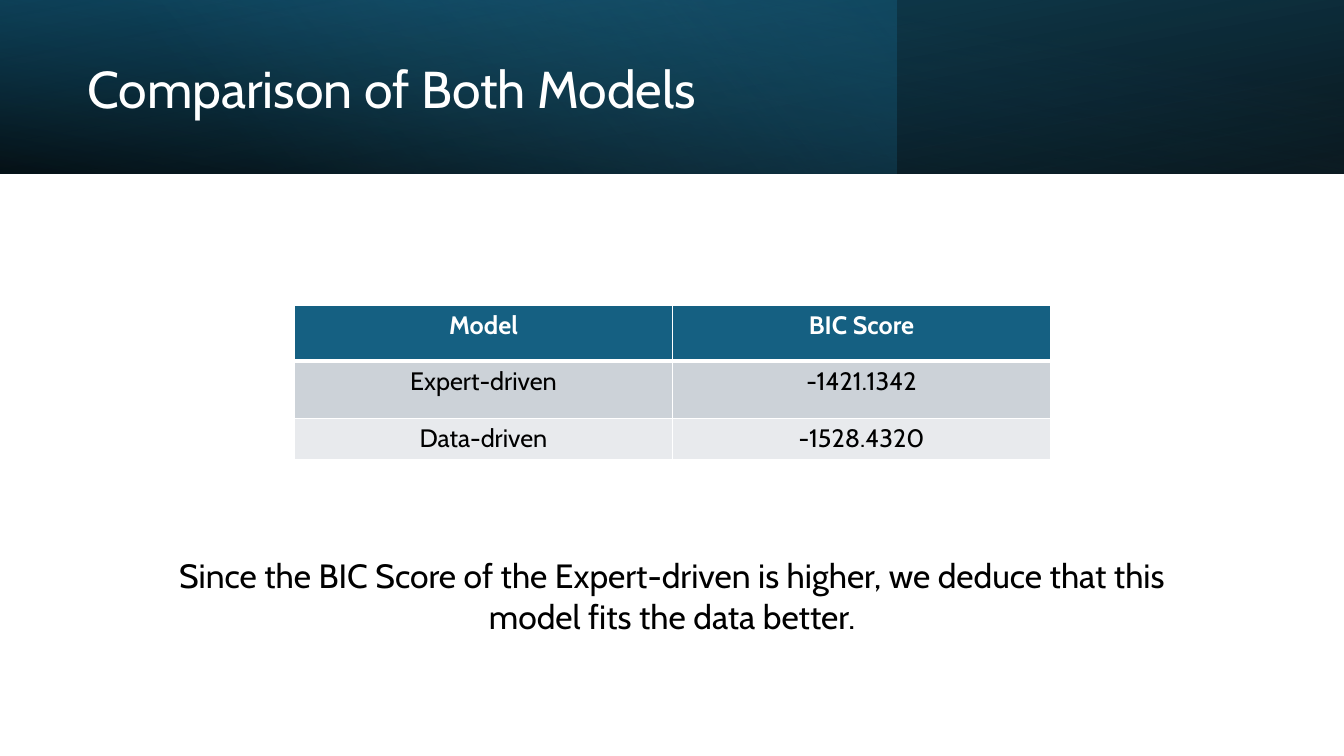
from lxml.etree import SubElement
from pptx import Presentation
from pptx.dml.color import RGBColor
from pptx.enum.shapes import MSO_SHAPE
from pptx.enum.text import MSO_ANCHOR as Anchor, PP_ALIGN as Align
from pptx.oxml.ns import qn
from pptx.util import Inches, Pt

FONT = "Cabin"
BLACK = RGBColor(0x00, 0x00, 0x00)
WHITE = RGBColor(0xFF, 0xFF, 0xFF)
TEAL = RGBColor(0x15, 0x60, 0x82)
DEEP_TEAL = RGBColor(0x10, 0x48, 0x62)
SKY = RGBColor(0x46, 0xB1, 0xE1)
BAND_DARK = RGBColor(0xCC, 0xD2, 0xD8)
BAND_LIGHT = RGBColor(0xE8, 0xEA, 0xED)

SLIDE_WIDTH, SLIDE_HEIGHT = 13.33, 7.5
BANNER_HEIGHT = 1.72

# Each banner layer: width, rotation, flipped, clockwise angle,
# and gradient stops as (position, colour, opacity in percent).
BANNER_LAYERS = [
    (SLIDE_WIDTH, 180, True, 100, [(0, BLACK, 96), (1, DEEP_TEAL, 100)]),
    (8.89, 0, False, 140, [(0, TEAL, 41), (0.74, SKY, 0)]),
    (SLIDE_WIDTH, 0, True, 260, [(0, BLACK, 63), (0.78, TEAL, 15)]),
]

# Each table row: height, fill, text colour, bold, bottom border width, texts.
SCORE_ROWS = [
    (0.55, TEAL, WHITE, True, 3, ["Model", "BIC Score"]),
    (0.57, BAND_DARK, BLACK, False, 1, ["Expert-driven", "-1421.1342"]),
    (0.41, BAND_LIGHT, BLACK, False, 1, ["Data-driven", "-1528.4320"]),
]


def write_text(frame, text, color, align=Align.LEFT, **font_format):
    paragraph = frame.paragraphs[0]
    paragraph.alignment = align
    run = paragraph.add_run()
    run.text = text
    run.font.color.rgb = color
    for name, value in {"name": FONT, **font_format}.items():
        setattr(run.font, name, value)
    return paragraph


def add_text(slide, box, text, color, size, align=Align.LEFT, anchor=Anchor.TOP):
    text_box = slide.shapes.add_textbox(*map(Inches, box))
    frame = text_box.text_frame
    frame.word_wrap = True
    frame.vertical_anchor = anchor
    return write_text(frame, text, color, align, size=Pt(size))


def add_banner_layer(slide, width, rotation, flipped, angle, stops):
    layer = slide.shapes.add_shape(
        MSO_SHAPE.RECTANGLE, 0, 0, Inches(width), Inches(BANNER_HEIGHT))
    layer.shadow.inherit = False
    layer.line.fill.background()
    layer.rotation = rotation
    if flipped:
        layer._element.spPr.xfrm.set("flipH", "1")
    layer.fill.gradient()
    layer.fill.gradient_angle = 360 - angle
    for stop, (position, color, _) in zip(layer.fill.gradient_stops, stops):
        stop.position = position
        stop.color.rgb = color
    stop_colors = layer._element.spPr.iter(qn("a:srgbClr"))
    for stop_color, (_, _, opacity) in zip(list(stop_colors), stops):
        SubElement(stop_color, qn("a:alpha"), val=str(opacity * 1000))


def set_borders(cell, bottom_width):
    """Draw white cell borders, placed before the fill as the schema requires."""
    properties = cell._tc.get_or_add_tcPr()
    widths = {"a:lnL": 1, "a:lnR": 1, "a:lnT": 1, "a:lnB": bottom_width}
    for index, (side, width) in enumerate(widths.items()):
        border = SubElement(properties, qn(side), w=str(Pt(width)))
        fill = SubElement(border, qn("a:solidFill"))
        SubElement(fill, qn("a:srgbClr"), val=str(WHITE))
        properties.insert(index, border)


def add_score_table(slide):
    height = sum(row[0] for row in SCORE_ROWS)
    table = slide.shapes.add_table(
        len(SCORE_ROWS), 2, Inches(2.92), Inches(3.03),
        Inches(7.5), Inches(height)).table
    top_width = 1
    for row, (row_height, fill, color, bold, bottom_width, texts) in zip(
            table.rows, SCORE_ROWS):
        row.height = Inches(row_height)
        for cell, text in zip(row.cells, texts):
            cell.fill.solid()
            cell.fill.fore_color.rgb = fill
            set_borders(cell, bottom_width)
            if top_width != 1:
                cell._tc.tcPr.find(qn("a:lnT")).set("w", str(Pt(top_width)))
            write_text(cell.text_frame, text, color, Align.CENTER,
                       size=Pt(18), bold=bold)
        top_width = bottom_width


def main():
    presentation = Presentation()
    presentation.slide_width = Inches(SLIDE_WIDTH)
    presentation.slide_height = Inches(SLIDE_HEIGHT)
    slide = presentation.slides.add_slide(presentation.slide_layouts[6])

    for layer in BANNER_LAYERS:
        add_banner_layer(slide, *layer)
    title = add_text(slide, (0.77, 0.27, 11.06, 1.27), "Comparison of Both Models",
                     WHITE, 37, anchor=Anchor.MIDDLE)
    title.line_spacing = 0.9
    add_score_table(slide)
    add_text(slide, (1.21, 5.46, 10.91, 0.91),
             "Since the BIC Score of the Expert-driven is higher, "
             "we deduce that this model fits the data better.",
             BLACK, 24, Align.CENTER)

    presentation.save("out.pptx")


if __name__ == "__main__":
    main()
